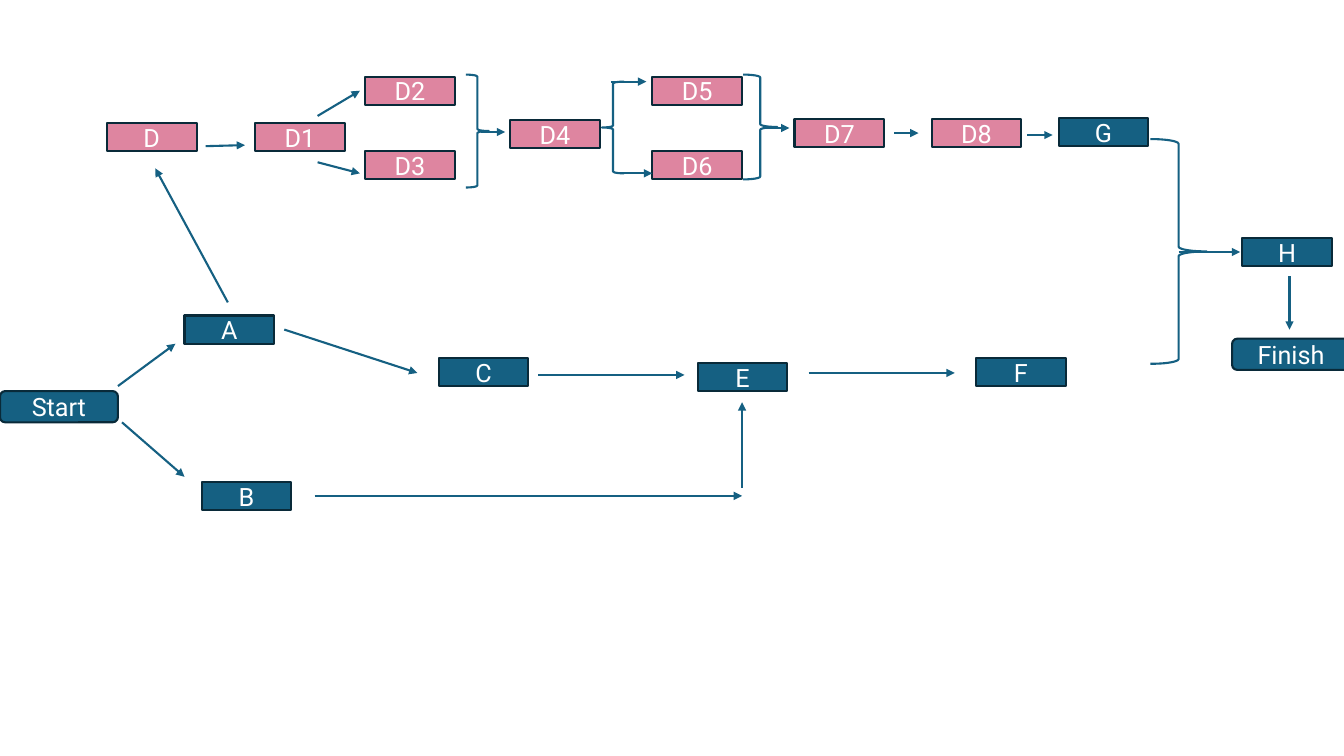
from dataclasses import dataclass
from typing import Any

import pptx
import pptx.dml.color
import pptx.enum.shapes
import pptx.enum.text
import pptx.oxml
import pptx.oxml.ns
import pptx.util

Inches = pptx.util.Inches
Shape = pptx.enum.shapes.MSO_SHAPE


@dataclass(frozen=True)
class Theme:
    teal: str = "156082"
    pink: str = "DE85A0"
    border: str = "092A39"
    text: str = "FFFFFF"
    font: str = "Roboto"
    size: float = 18
    line: float = 1.5


THEME = Theme()


@dataclass(frozen=True)
class Node:
    label: str
    left: float
    top: float
    fill: str = THEME.teal
    width: float = 0.89
    height: float = 0.28
    kind: Any = Shape.RECTANGLE


@dataclass(frozen=True)
class Terminal(Node):
    width: float = 1.17
    height: float = 0.31
    kind: Any = Shape.ROUNDED_RECTANGLE


@dataclass(frozen=True)
class Brace:
    left: float
    top: float
    width: float
    height: float
    kind: Any = Shape.RIGHT_BRACE


@dataclass(frozen=True)
class Arrow:
    x1: float
    y1: float
    x2: float
    y2: float


NODES = [
    Terminal("Start", 0, 3.88),
    Node("A", 1.83, 3.13),
    Node("B", 2, 4.78),
    Node("C", 4.35, 3.55),
    Node("D", 1.06, 1.22, THEME.pink),
    Node("D1", 2.53, 1.22, THEME.pink),
    Node("D2", 3.62, 0.76, THEME.pink),
    Node("D3", 3.62, 1.5, THEME.pink),
    Node("D4", 5.06, 1.19, THEME.pink),
    Node("D5", 6.47, 0.76, THEME.pink),
    Node("D6", 6.47, 1.5, THEME.pink),
    Node("D7", 7.88, 1.18, THEME.pink),
    Node("D8", 9.24, 1.18, THEME.pink),
    Node("E", 6.92, 3.6),
    Node("F", 9.68, 3.55),
    Node("G", 10.5, 1.17),
    Node("H", 12.32, 2.36),
    Terminal("Finish", 12.22, 3.36),
]

BRACES = [
    Brace(4.62, 0.74, 0.23, 1.12),
    Brace(5.97, 0.81, 0.22, 0.91, Shape.LEFT_BRACE),
    Brace(7.37, 0.74, 0.34, 1.04),
    Brace(11.41, 1.38, 0.56, 2.23),
]

ARROWS = [
    Arrow(1.17, 3.83, 1.74, 3.41),
    Arrow(1.21, 4.19, 1.83, 4.73),
    Arrow(2.82, 3.27, 4.14, 3.7),
    Arrow(5.34, 3.72, 6.79, 3.72),
    Arrow(8.02, 3.7, 9.47, 3.7),
    Arrow(11.69, 2.5, 12.3, 2.5),
    Arrow(3.12, 4.92, 7.36, 4.92),
    Arrow(7.36, 4.84, 7.36, 3.99),
    Arrow(2.26, 3, 1.54, 1.67),
    Arrow(2.04, 1.45, 2.43, 1.44),
    Arrow(3.15, 1.61, 3.57, 1.72),
    Arrow(3.15, 1.15, 3.57, 0.9),
    Arrow(4.77, 1.31, 5.01, 1.31),
    Arrow(6.06, 0.81, 6.41, 0.81),
    Arrow(6.12, 1.72, 6.47, 1.72),
    Arrow(7.58, 1.27, 7.83, 1.27),
    Arrow(8.87, 1.32, 9.11, 1.32),
    Arrow(10.19, 1.34, 10.44, 1.34),
    Arrow(12.79, 2.74, 12.79, 3.27),
]


def rgb(color: str) -> pptx.dml.color.RGBColor:
    return pptx.dml.color.RGBColor.from_string(color)


def set_line(sp: Any, color: str) -> None:
    sp.line.color.rgb = rgb(color)
    sp.line.width = pptx.util.Pt(THEME.line)


def add_outline(slide: Any, item: Node | Brace, color: str) -> Any:
    box = (item.left, item.top, item.width, item.height)
    sp = slide.shapes.add_shape(item.kind, *map(Inches, box))
    sp.shadow.inherit = False
    set_line(sp, color)
    return sp


def draw_node(slide: Any, node: Node) -> None:
    sp = add_outline(slide, node, THEME.border)
    sp.fill.solid()
    sp.fill.fore_color.rgb = rgb(node.fill)
    tf = sp.text_frame
    tf.word_wrap = True
    tf.vertical_anchor = pptx.enum.text.MSO_ANCHOR.MIDDLE
    p = tf.paragraphs[0]
    p.alignment = pptx.enum.text.PP_ALIGN.CENTER
    r = p.add_run()
    r.text = node.label
    r.font.name = THEME.font
    r.font.size = pptx.util.Pt(THEME.size)
    r.font.color.rgb = rgb(THEME.text)


def draw_brace(slide: Any, brace: Brace) -> None:
    add_outline(slide, brace, THEME.teal).fill.background()


def draw_arrow(slide: Any, arrow: Arrow) -> None:
    ends = (arrow.x1, arrow.y1, arrow.x2, arrow.y2)
    straight = pptx.enum.shapes.MSO_CONNECTOR.STRAIGHT
    sp = slide.shapes.add_connector(straight, *map(Inches, ends))
    set_line(sp, THEME.teal)
    head = pptx.oxml.parse_xml(
        f'<a:tailEnd {pptx.oxml.ns.nsdecls("a")} type="triangle"/>'
    )
    sp.line._get_or_add_ln().append(head)
    effects = pptx.oxml.parse_xml(f'<a:effectLst {pptx.oxml.ns.nsdecls("a")}/>')
    sp._element.spPr.append(effects)


def main() -> None:
    prs = pptx.Presentation()
    prs.slide_width = Inches(13.33)
    prs.slide_height = Inches(7.5)
    slide = prs.slides.add_slide(prs.slide_layouts[6])
    for node in NODES:
        draw_node(slide, node)
    for brace in BRACES:
        draw_brace(slide, brace)
    for arrow in ARROWS:
        draw_arrow(slide, arrow)
    prs.save("out.pptx")


if __name__ == "__main__":
    main()
